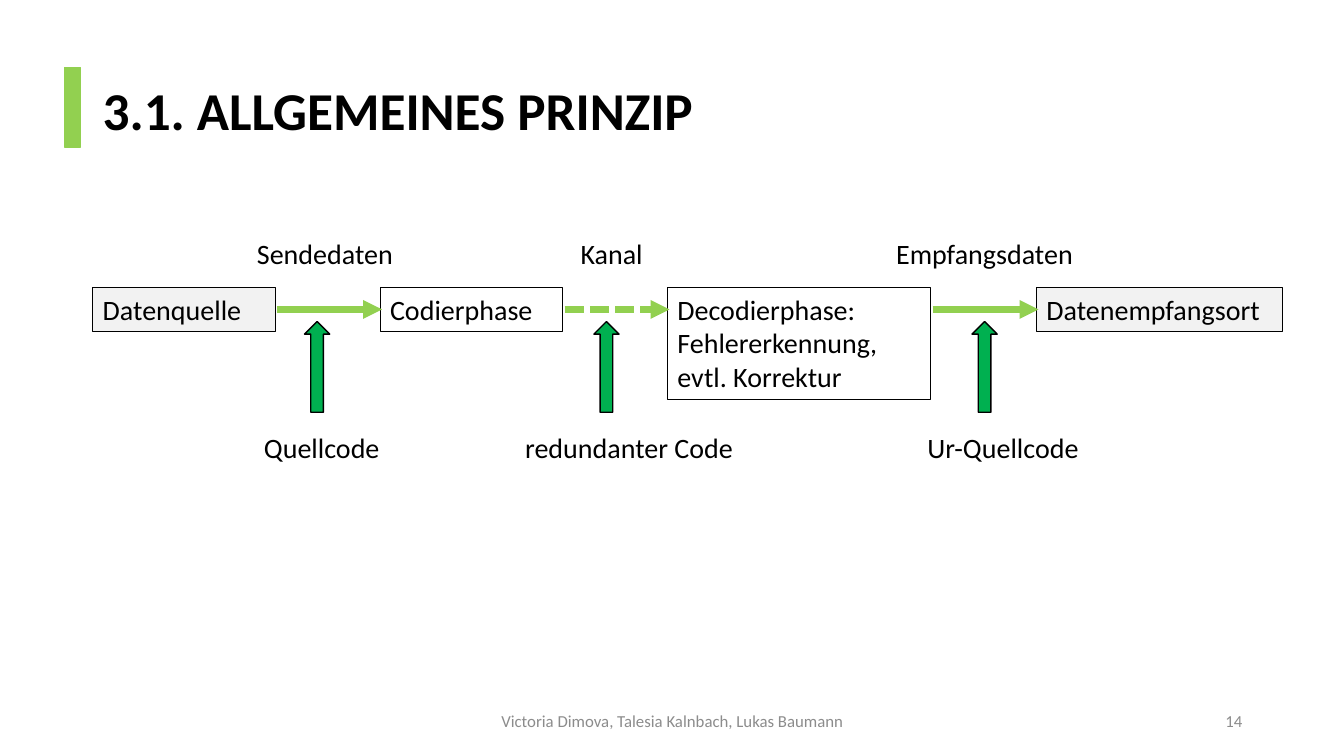
from dataclasses import dataclass

from lxml.etree import SubElement
from pptx import Presentation
from pptx.dml.color import RGBColor
from pptx.enum.dml import MSO_LINE_DASH_STYLE as Dash
from pptx.enum.shapes import MSO_CONNECTOR as Connector, MSO_SHAPE as Shape
from pptx.enum.text import MSO_ANCHOR as Anchor, MSO_AUTO_SIZE as AutoSize, PP_ALIGN as Align
from pptx.oxml.ns import qn
from pptx.util import Emu, Pt

PX = 9144  # EMU per px, 100 px to the inch


@dataclass(frozen=True)
class Theme:
    font: str = "Calibri"
    black: str = "000000"
    grey: str = "8C8C8C"
    pale: str = "F2F2F2"
    lime: str = "92D050"
    green: str = "00B050"
    title_size: int = 38
    body_size: int = 20
    footer_size: int = 12


class SlideBuilder:
    def __init__(self, page, theme):
        self.page = page
        self.theme = theme

    def lengths(self, *values):
        return [Emu(value * PX) for value in values]

    def set_text(self, box, text, size=None, color=None, bold=False,
                 align=Align.LEFT, anchor=Anchor.TOP, spacing=1.0):
        frame = box.text_frame
        frame.word_wrap = True
        frame.auto_size = AutoSize.NONE
        frame.vertical_anchor = anchor
        para = frame.paragraphs[0]
        para.alignment = align
        para.line_spacing = spacing
        span = para.add_run()
        span.text = text
        formats = {"name": self.theme.font, "bold": bold,
                   "size": Pt(size or self.theme.body_size)}
        for name, value in formats.items():
            setattr(span.font, name, value)
        span.font.color.rgb = RGBColor.from_string(color or self.theme.black)

    def label(self, area, text, **formats):
        box = self.page.shapes.add_textbox(*self.lengths(*area))
        self.set_text(box, text, **formats)

    def shape(self, kind, area, fill=None, line=None, width=1.0, text=None):
        box = self.page.shapes.add_shape(kind, *self.lengths(*area))
        box.shadow.inherit = False
        if fill:
            box.fill.solid()
            box.fill.fore_color.rgb = RGBColor.from_string(fill)
        else:
            box.fill.background()
        box.line.color.rgb = RGBColor.from_string(line or self.theme.black)
        box.line.width = Pt(width)
        if text:
            self.set_text(box, text)

    def arrow(self, left, right, y, dash=None):
        link = self.page.shapes.add_connector(
            Connector.STRAIGHT, *self.lengths(left, y, right, y))
        link.line.color.rgb = RGBColor.from_string(self.theme.lime)
        link.line.width = Pt(4.5)
        if dash:
            link.line.dash_style = dash
        properties = link._element.spPr
        SubElement(properties.find(qn("a:ln")), qn("a:tailEnd"), type="triangle")
        SubElement(properties, qn("a:effectLst"))


def main():
    theme = Theme()
    deck = Presentation()
    deck.slide_width, deck.slide_height = Emu(1333 * PX), Emu(750 * PX)
    page = deck.slides.add_slide(deck.slide_layouts[6])
    builder = SlideBuilder(page, theme)

    # Title with accent bar
    builder.label((92, 40, 1150, 145), "3.1. ALLGEMEINES PRINZIP", size=theme.title_size,
                  bold=True, anchor=Anchor.MIDDLE, spacing=0.9)
    builder.shape(Shape.RECTANGLE, (64, 67, 16, 79), theme.lime, theme.lime)

    # Stages of the transmission
    stages = [
        (92, 181, 44, theme.pale, "Datenquelle"),
        (377, 181, 44, None, "Codierphase"),
        (662, 261, 111, None, "Decodierphase: Fehlererkennung, evtl. Korrektur"),
        (1028, 244, 44, theme.pale, "Datenempfangsort"),
    ]
    for left, width, height, fill, text in stages:
        builder.shape(Shape.RECTANGLE, (left, 285, width, height), fill, width=0.75, text=text)

    # Links between neighbouring stages
    dashes = [None, Dash.SQUARE_DOT, None]
    for stage, following, dash in zip(stages, stages[1:], dashes):
        builder.arrow(stage[0] + stage[1] + 2, following[0] + 2, 307, dash)

    # Data above the links
    for left, width, text in [(245, 163, "Sendedaten"), (566, 163, "Kanal"),
                              (879, 244, "Empfangsdaten")]:
        builder.label((left, 230, width, 44), text)

    # Codes below, each with an arrow up to its link
    for arrow_left, left, width, text in [(302, 252, 150, "Quellcode"),
                                          (589, 511, 273, "redundanter Code"),
                                          (964, 910, 201, "Ur-Quellcode")]:
        builder.shape(Shape.UP_ARROW, (arrow_left, 319, 25, 90), theme.green)
        builder.label((left, 422, width, 44), text)

    # Footer
    for left, width, text, align in [
        (442, 450, "Victoria Dimova, Talesia Kalnbach, Lukas Baumann", Align.CENTER),
        (942, 300, "14", Align.RIGHT),
    ]:
        builder.label((left, 695, width, 40), text, size=theme.footer_size,
                      color=theme.grey, align=align, anchor=Anchor.MIDDLE)

    deck.save("out.pptx")


if __name__ == "__main__":
    main()
